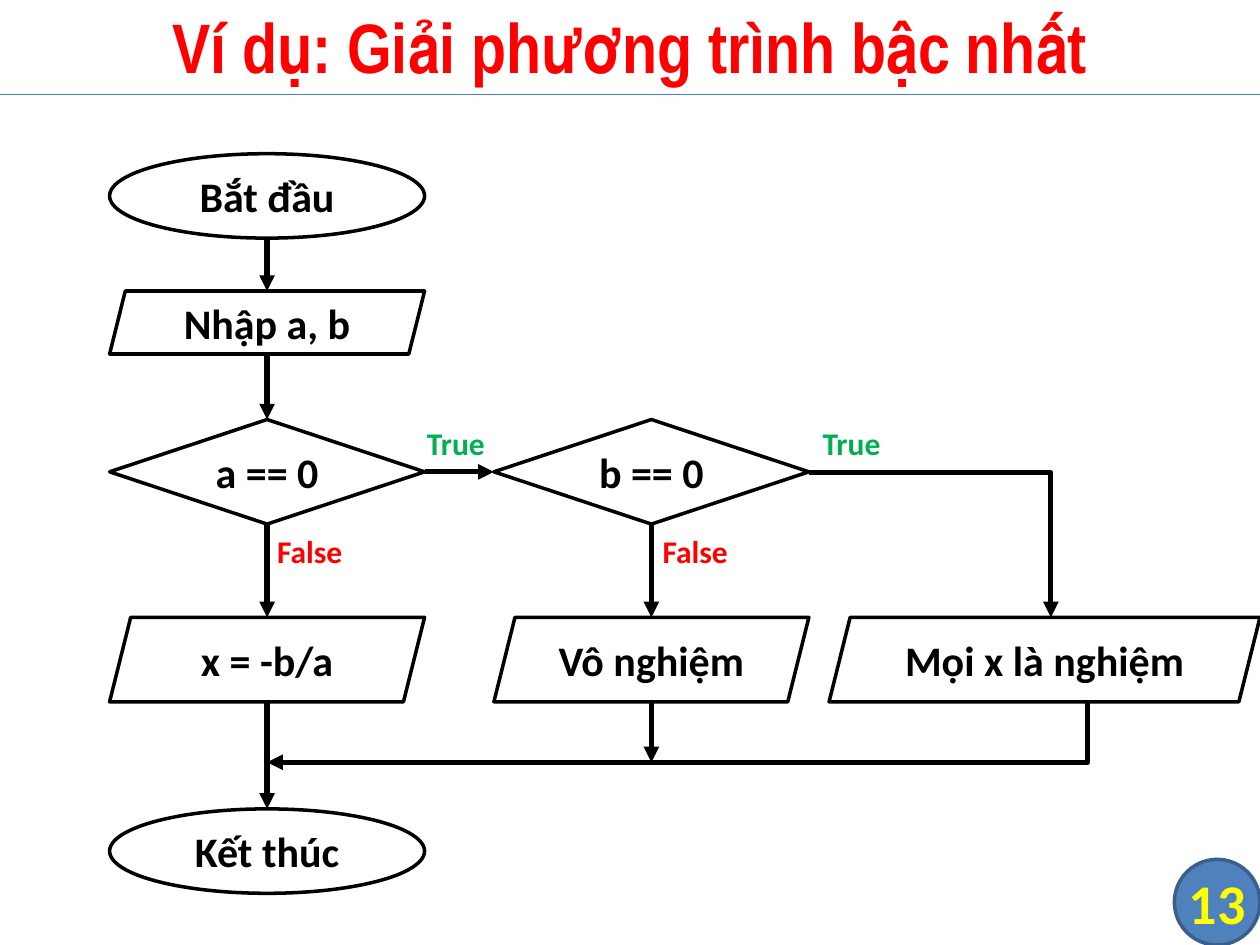
from lxml.etree import SubElement
from pptx import Presentation
from pptx.dml.color import RGBColor
from pptx.enum.shapes import MSO_CONNECTOR, MSO_SHAPE
from pptx.enum.text import MSO_ANCHOR, MSO_AUTO_SIZE, PP_ALIGN
from pptx.oxml.ns import qn
from pptx.util import Inches, Pt

BLACK, WHITE, RED, GREEN = "000000", "FFFFFF", "FF0000", "00B050"
TOP, LEFT, BOTTOM, RIGHT = range(4)


def color(code):
    return RGBColor.from_string(code)


class Chart:
    """Style and current slide of a flowchart."""
    font = "Calibri"

    def __init__(self, slide):
        self.slide = slide
        self.shapes = slide.shapes

    def letter(self, shape, text, size, ink, font=None, align=PP_ALIGN.CENTER):
        """Set the text of a shape and format it."""
        frame = shape.text_frame
        frame.text = text
        frame.vertical_anchor = MSO_ANCHOR.MIDDLE
        para = frame.paragraphs[0]
        para.alignment = align
        style = para.runs[0].font
        style.name = font or self.font
        style.size = Pt(size)
        style.bold = True
        style.color.rgb = color(ink)
        return frame

    def title(self, text, left, top, width, height):
        shape = self.shapes.title
        shape.left, shape.top = Inches(left), Inches(top)
        shape.width, shape.height = Inches(width), Inches(height)
        frame = self.letter(shape, text, 40, RED, "Arial Narrow")
        frame.auto_size = MSO_AUTO_SIZE.NONE

    def shape(self, kind, left, top, width, height, fill=WHITE, line=BLACK):
        shape = self.shapes.add_shape(
            kind, Inches(left), Inches(top), Inches(width), Inches(height))
        shape.shadow.inherit = False
        shape.fill.solid()
        shape.fill.fore_color.rgb = color(fill)
        shape.line.color.rgb = color(line)
        shape.line.width = Pt(2)
        return shape

    def node(self, kind, text, left, top, width, height):
        shape = self.shape(kind, left, top, width, height)
        self.letter(shape, text, 24, BLACK)
        return shape

    def label(self, text, ink, left, top, width):
        box = self.shapes.add_textbox(
            Inches(left), Inches(top), Inches(width), Inches(0.4))
        frame = self.letter(box, text, 18, ink, align=PP_ALIGN.LEFT)
        frame.vertical_anchor = MSO_ANCHOR.TOP
        frame.word_wrap = False
        frame.auto_size = MSO_AUTO_SIZE.SHAPE_TO_FIT_TEXT

    def badge(self, text, left, top, side):
        self.shape(MSO_SHAPE.FLOWCHART_CONNECTOR, left, top, side, side,
                   "4F81BD", "3A5F8C")
        box = self.shapes.add_textbox(
            Inches(left), Inches(top), Inches(side), Inches(side))
        frame = self.letter(box, text, 32, "FFFF00")
        frame.word_wrap = True
        frame.margin_left = frame.margin_right = 0
        frame.margin_top = frame.margin_bottom = 0

    def line(self, start, end, ink=BLACK, width=3, kind=MSO_CONNECTOR.STRAIGHT):
        points = [Inches(value) for value in (*start, *end)]
        line = self.shapes.add_connector(kind, *points)
        line.line.color.rgb = color(ink)
        line.line.width = Pt(width)
        SubElement(line._element.spPr, qn("a:effectLst"))
        return line

    def head(self, line):
        outline = line._element.spPr.find(qn("a:ln"))
        SubElement(outline, qn("a:tailEnd"), type="triangle")

    def arrow(self, start, end, source=None, target=None):
        """Draw a straight arrow; source and target are (shape, site) joints."""
        line = self.line(start, end)
        self.head(line)
        if source:
            line.begin_connect(*source)
        if target:
            line.end_connect(*target)

    def bend(self, start, end, turned=False):
        """Draw a one-corner arrow: right then down, or turned, down then left."""
        if turned:
            (x1, y1), (x2, y2) = start, end
            midx, midy = (x1 + x2) / 2, (y1 + y2) / 2
            dx, dy = (y2 - y1) / 2, (x1 - x2) / 2
            start, end = (midx - dx, midy - dy), (midx + dx, midy + dy)
        line = self.line(start, end, kind=MSO_CONNECTOR.ELBOW)
        props = line._element.spPr
        props.find(qn("a:prstGeom")).set("prst", "bentConnector2")
        if turned:
            props.find(qn("a:xfrm")).set("rot", str(90 * 60000))
        self.head(line)


def main():
    deck = Presentation()
    deck.slide_width, deck.slide_height = Inches(10), Inches(7.5)
    chart = Chart(deck.slides.add_slide(deck.slide_layouts[5]))

    chart.title("Ví dụ: Giải phương trình bậc nhất", 0, -0.03, 10, 0.78)
    chart.line((0, 0.75), (10, 0.75), "4B7EBC", 0.75)
    chart.badge("13", 9.32, 6.82, 0.68)

    wide = 2.5
    col1, col2 = 0.87, 3.92
    mid1, mid2 = col1 + wide / 2, col2 + wide / 2
    test, out, merge, last = 3.33, 4.9, 6.05, 6.42
    low, axis, foot = test + 0.83, 3.75, out + 0.67

    oval, slant, rhomb = MSO_SHAPE.OVAL, MSO_SHAPE.PARALLELOGRAM, MSO_SHAPE.DIAMOND
    chart.node(oval, "Bắt đầu", col1, 1.22, wide, 0.67)
    chart.node(slant, "Nhập a, b", col1, 2.31, wide, 0.5)
    test_a = chart.node(rhomb, "a == 0", col1, test, wide, 0.83)
    chart.node(slant, "x = -b/a", col1, out, wide, 0.67)
    finish = chart.node(oval, "Kết thúc", col1, last, wide, 0.67)
    test_b = chart.node(rhomb, "b == 0", col2, test, wide, 0.83)
    chart.node(slant, "Vô nghiệm", col2, out, wide, 0.67)
    chart.node(slant, "Mọi x là nghiệm", 6.58, out, 3.42, 0.67)

    chart.arrow((mid1, 1.89), (mid1, 2.31))
    chart.arrow((mid1, 2.81), (mid1, test), target=(test_a, TOP))
    chart.arrow((col1 + wide, axis), (col2, axis), (test_a, RIGHT), (test_b, LEFT))
    for mid, shape in ((mid1, test_a), (mid2, test_b)):
        chart.arrow((mid, low), (mid, out), source=(shape, BOTTOM))
    chart.arrow((mid1, foot), (mid1, last), target=(finish, TOP))
    chart.arrow((mid2, foot), (mid2, merge))
    chart.bend((col2 + wide, axis), (8.34, out))
    chart.bend((8.63, foot), (mid1, merge), turned=True)

    for left in (3.29, 6.43):
        chart.label("True", GREEN, left, 3.32, 0.73)
    for left in (2.1, 5.16):
        chart.label("False", RED, left, 4.17, 0.85)

    deck.save("out.pptx")


if __name__ == "__main__":
    main()
